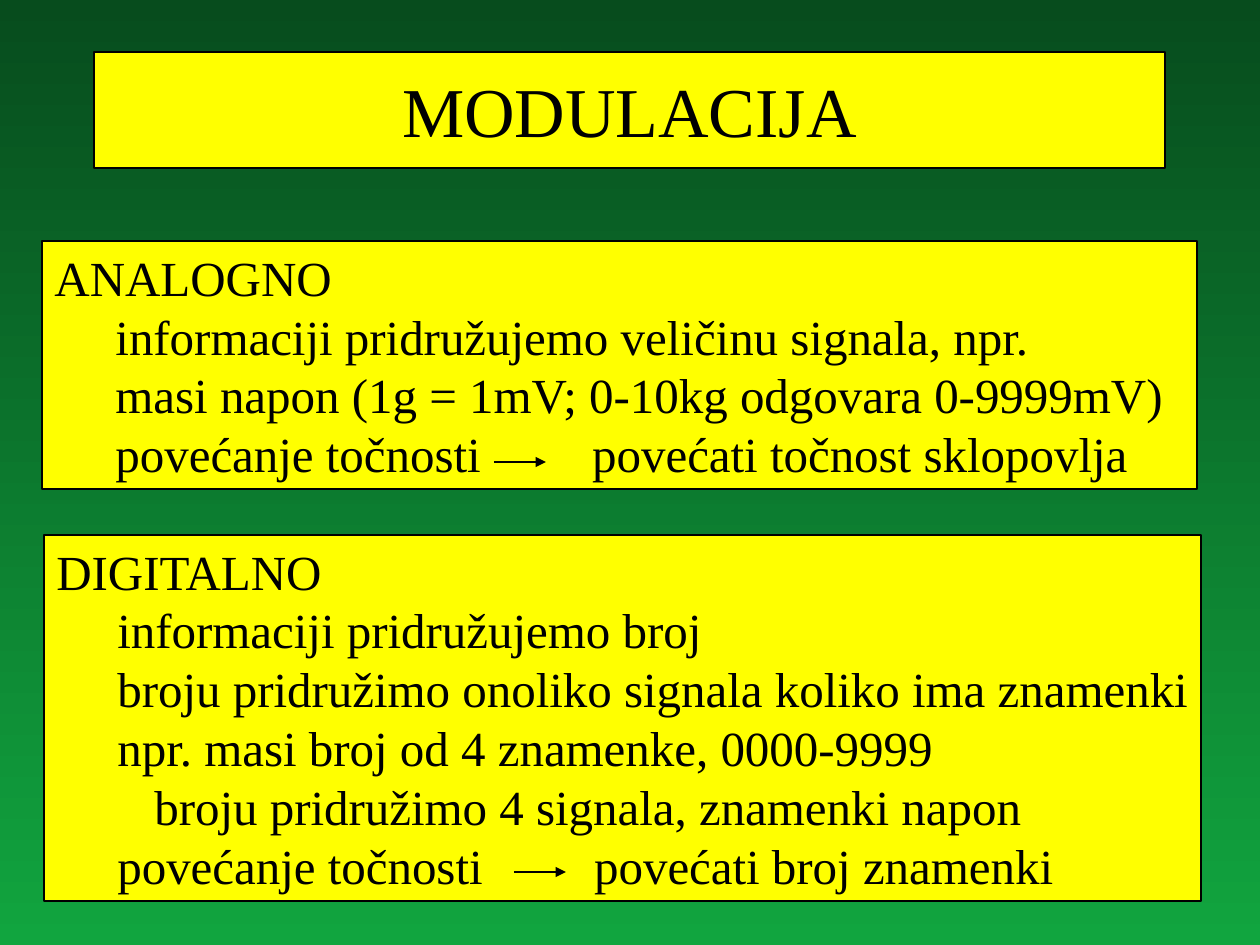
from lxml import etree
from pptx import Presentation
from pptx.dml.color import RGBColor
from pptx.enum.shapes import MSO_CONNECTOR, MSO_SHAPE
from pptx.enum.text import MSO_ANCHOR, PP_ALIGN
from pptx.oxml.ns import qn
from pptx.util import Pt

RECT = MSO_SHAPE.RECTANGLE
STRAIGHT = MSO_CONNECTOR.STRAIGHT
MIDDLE, TOP = MSO_ANCHOR.MIDDLE, MSO_ANCHOR.TOP
CENTER, LEFT = PP_ALIGN.CENTER, PP_ALIGN.LEFT

SCALE = 914400 / 126
FONT = "Times New Roman"
COLORS = {"top": "074C1D", "bottom": "11A53F", "panel": "FFFF00", "ink": "000000"}
C = {name: RGBColor.from_string(value) for name, value in COLORS.items()}
INDENTS = [0, 61, 98]
ARROW_GAP = 99  # added to the space that holds an arrow


def px(n):
    return round(n * SCALE)


def add_panel(x, y, w, h, lines, size, align, anchor):
    s = slide.shapes.add_shape(RECT, px(x), px(y), px(w), px(h))
    s.shadow.inherit = False
    s.fill.solid()
    s.fill.fore_color.rgb = C["panel"]
    s.line.color.rgb = C["ink"]
    s.line.width = Pt(1.5)
    tf = s.text_frame
    tf.word_wrap = True
    tf.vertical_anchor = anchor
    if align == LEFT:
        tf.margin_right = 0
    for i, (level, *runs) in enumerate(lines):
        p = tf.paragraphs[0] if i == 0 else tf.add_paragraph()
        p.alignment = align
        pPr = p._p.get_or_add_pPr()
        pPr.set("marL", str(px(INDENTS[level])))
        pPr.set("indent", "0")
        for text in runs:
            r = p.add_run()
            r.text = text
            r.font.name = FONT
            r.font.size = Pt(size)
            r.font.color.rgb = C["ink"]
            if text == " ":
                # Character spacing is in hundredths of a point
                r._r.get_or_add_rPr().set("spc", str(px(ARROW_GAP) // 127))


prs = Presentation()
prs.slide_width, prs.slide_height = px(1260), px(945)
slide = prs.slides.add_slide(prs.slide_layouts[6])

# Background gradient, dark at the top
fill = slide.background.fill
fill.gradient()
fill.gradient_angle = 270
for stop, name, position in zip(fill.gradient_stops, ("top", "bottom"), (0, 1)):
    stop.color.rgb = C[name]
    stop.position = position

# Title
add_panel(94, 52, 1071, 116, [(0, "MODULACIJA")], 40, CENTER, MIDDLE)

# Analogue and digital panels
add_panel(42, 241, 1155, 248, [
    (0, "ANALOGNO"),
    (1, "informaciji pridružujemo veličinu signala, npr."),
    (1, "masi napon (1g = 1mV; 0-10kg odgovara 0-9999mV)"),
    (1, "povećanje točnosti", " ", "povećati točnost sklopovlja"),
], 28, LEFT, TOP)
add_panel(44, 535, 1157, 366, [
    (0, "DIGITALNO"),
    (1, "informaciji pridružujemo broj"),
    (1, "broju pridružimo onoliko signala koliko ima znamenki"),
    (1, "npr. masi broj od 4 znamenke, 0000-9999"),
    (2, "broju pridružimo 4 signala, znamenki napon"),
    (1, "povećanje točnosti", " ", "povećati broj znamenki"),
], 28, LEFT, TOP)

# Arrows inside the last line of each panel
for x, y in [(494, 462), (514, 872)]:
    s = slide.shapes.add_connector(STRAIGHT, px(x), px(y), px(x + 52), px(y))
    s.line.color.rgb = C["ink"]
    s.line.width = Pt(0.75)
    etree.SubElement(s.line._get_or_add_ln(), qn("a:tailEnd"), type="triangle")
    etree.SubElement(s._element.spPr, qn("a:effectLst"))

prs.save("out.pptx")
